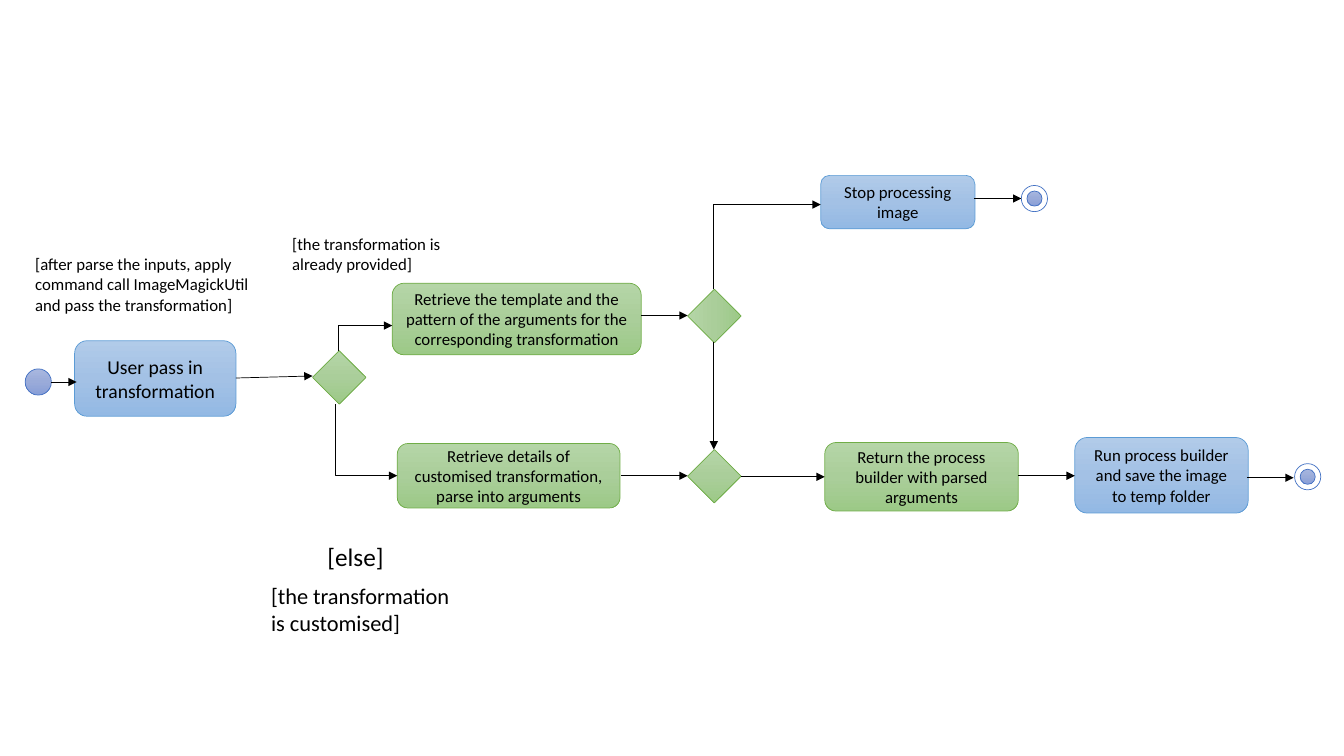
from copy import deepcopy
from dataclasses import dataclass

from lxml.etree import SubElement
from pptx import Presentation
from pptx.dml.color import RGBColor
from pptx.enum.shapes import MSO_CONNECTOR as Connector, MSO_SHAPE as Preset
from pptx.enum.text import MSO_ANCHOR as Anchor, MSO_AUTO_SIZE as AutoSize, PP_ALIGN as Align
from pptx.oxml.ns import qn
from pptx.util import Inches, Pt

COLOURS = {"text": "000000", "arrow": "000000", "white": "FFFFFF",
           "node": "4472C4", "blue": "5B9BD5", "green": "70AD47"}
GRADIENTS = {"node": ("A8B7DF", "9AABD9", "889ED7"),
             "blue": ("B1CBE9", "A3C1E5", "93B9E4"),
             "green": ("B5D5A7", "AACE9A", "9CC987")}
FONT = "Calibri"
LINE_WIDTH = Pt(0.5)
DIAMOND_SIZE = 0.53
NODE_SIZE = 0.26
CORE_SIZE = 0.15


@dataclass
class Action:
    text: str
    left: float
    top: float
    width: float
    height: float
    theme: str
    size: int = 12


@dataclass
class Note:
    text: str
    left: float
    top: float
    width: float
    height: float
    size: int = 12


@dataclass
class Decision:
    left: float
    top: float
    rotation: int = 0


@dataclass
class Arrow:
    start: tuple[float, float]
    end: tuple[float, float]
    bent: bool = False


ACTIONS = [
    Action("User pass in transformation", 0.74, 3.38, 1.6, 0.75, "blue", 14),
    Action("Retrieve the template and the pattern of the arguments for the "
           "corresponding transformation", 3.89, 2.81, 2.47, 0.71, "green"),
    Action("Retrieve details of customised transformation, parse into arguments",
           3.94, 4.4, 2.21, 0.64, "green"),
    Action("Stop processing image", 8.14, 1.74, 1.53, 0.53, "blue"),
    Action("Return the process builder with parsed arguments",
           8.18, 4.39, 1.92, 0.68, "green"),
    Action("Run process builder and save the image to temp folder",
           10.66, 4.34, 1.72, 0.75, "blue"),
]
NOTES = [
    Note("[after parse the inputs, apply command call ImageMagickUtil and pass "
         "the transformation]", 0.25, 2.47, 2.55, 0.71),
    Note("[the transformation is already provided]", 2.8, 2.27, 2.07, 0.5),
    Note("[else]", 3.15, 5.32, 0.93, 0.4, 18),
    Note("[the transformation is customised]", 2.59, 5.73, 2.07, 0.64, 16),
]
DECISIONS = [Decision(3.1, 3.48), Decision(6.82, 2.87, 270), Decision(6.82, 4.46)]
START_NODE = (0.25, 3.66)
END_NODES = [(10.13, 1.84), (12.84, 4.6)]
ARROWS = [
    Arrow((0.51, 3.79), (0.76, 3.79)),
    Arrow((2.34, 3.75), (3.1, 3.73)),
    Arrow((3.36, 3.48), (3.89, 3.23), bent=True),
    Arrow((3.33, 4.01), (3.94, 4.72), bent=True),
    Arrow((6.36, 3.13), (6.82, 3.13)),
    Arrow((6.16, 4.72), (6.82, 4.72)),
    Arrow((7.08, 2.87), (8.14, 2.03), bent=True),
    Arrow((7.08, 3.39), (7.08, 4.46)),
    Arrow((7.35, 4.73), (8.18, 4.73)),
    Arrow((9.66, 1.97), (10.13, 1.97)),
    Arrow((10.1, 4.72), (10.66, 4.72)),
    Arrow((12.37, 4.74), (12.83, 4.74)),
]


def colour(name: str) -> RGBColor:
    return RGBColor.from_string(COLOURS[name])


def set_gradient(shape, theme: str) -> None:
    """Fill from top to bottom with the three stops of a theme."""
    shape.fill.gradient()
    shape.fill.gradient_angle = 270
    stop_list = shape._element.spPr.find(".//" + qn("a:gsLst"))
    stop_list.insert(1, deepcopy(stop_list[0]))
    for stop, position, value in zip(shape.fill.gradient_stops, (0, 0.5, 1), GRADIENTS[theme]):
        stop.position = position
        stop.color.rgb = RGBColor.from_string(value)


def add_outlined(shapes, preset, left: float, top: float, width: float, height: float,
                 theme: str, plain: bool = False):
    shape = shapes.add_shape(preset, Inches(left), Inches(top), Inches(width), Inches(height))
    shape.shadow.inherit = False
    if plain:
        shape.fill.solid()
        shape.fill.fore_color.rgb = colour("white")
    else:
        set_gradient(shape, theme)
    shape.line.color.rgb = colour(theme)
    shape.line.width = LINE_WIDTH
    return shape


def set_text(shape, text: str, size: int, align) -> None:
    text_frame = shape.text_frame
    text_frame.text = text
    text_frame.word_wrap = True
    paragraph = text_frame.paragraphs[0]
    paragraph.alignment = align
    font = paragraph.runs[0].font
    font.name, font.size = FONT, Pt(size)
    font.color.rgb = colour("text")


def add_action(shapes, action: Action) -> None:
    shape = add_outlined(shapes, Preset.ROUNDED_RECTANGLE, action.left, action.top,
                         action.width, action.height, action.theme)
    set_text(shape, action.text, action.size, Align.CENTER)
    shape.text_frame.vertical_anchor = Anchor.MIDDLE


def add_note(shapes, note: Note) -> None:
    box = shapes.add_textbox(Inches(note.left), Inches(note.top),
                             Inches(note.width), Inches(note.height))
    set_text(box, note.text, note.size, Align.LEFT)
    box.text_frame.auto_size = AutoSize.SHAPE_TO_FIT_TEXT


def add_end_node(shapes, left: float, top: float) -> None:
    group = shapes.add_group_shape()
    inset = (NODE_SIZE - CORE_SIZE) / 2
    add_outlined(group.shapes, Preset.OVAL, left, top, NODE_SIZE, NODE_SIZE, "node", plain=True)
    add_outlined(group.shapes, Preset.OVAL, left + inset, top + inset,
                 CORE_SIZE, CORE_SIZE, "node")


def bend(connector, arrow: Arrow) -> None:
    """Turn the connector so that it runs vertically first, then to the right."""
    (x1, y1), (x2, y2) = arrow.start, arrow.end
    width, height = abs(y2 - y1), abs(x2 - x1)
    properties = connector._element.spPr
    properties.find(qn("a:prstGeom")).set("prst", "bentConnector2")
    connector.left = Inches((x1 + x2 - width) / 2)
    connector.top = Inches((y1 + y2 - height) / 2)
    connector.width, connector.height = Inches(width), Inches(height)
    upward = y2 < y1
    transform = properties.find(qn("a:xfrm"))
    transform.set("rot", str((90 if upward else 270) * 60000))
    transform.set("flipH", "1")
    transform.set("flipV", "1" if upward else "0")


def add_arrow(shapes, arrow: Arrow) -> None:
    kind = Connector.ELBOW if arrow.bent else Connector.STRAIGHT
    connector = shapes.add_connector(kind, *map(Inches, arrow.start + arrow.end))
    if arrow.bent:
        bend(connector, arrow)
    connector.line.color.rgb = colour("arrow")
    connector.line.width = LINE_WIDTH
    properties = connector._element.spPr
    SubElement(properties.find(qn("a:ln")), qn("a:tailEnd"), type="triangle")
    SubElement(properties, qn("a:effectLst"))


presentation = Presentation()
presentation.slide_width, presentation.slide_height = Inches(13.33), Inches(7.5)
slide = presentation.slides.add_slide(presentation.slide_layouts[6])

# Start and end nodes
add_outlined(slide.shapes, Preset.OVAL, *START_NODE, NODE_SIZE, NODE_SIZE, "node")
for end_node in END_NODES:
    add_end_node(slide.shapes, *end_node)

# Actions, decisions and notes
for action in ACTIONS:
    add_action(slide.shapes, action)
for decision in DECISIONS:
    diamond = add_outlined(slide.shapes, Preset.DIAMOND, decision.left, decision.top,
                           DIAMOND_SIZE, DIAMOND_SIZE, "green")
    diamond.rotation = decision.rotation
for note in NOTES:
    add_note(slide.shapes, note)

# Flow
for arrow in ARROWS:
    add_arrow(slide.shapes, arrow)

presentation.save("out.pptx")
